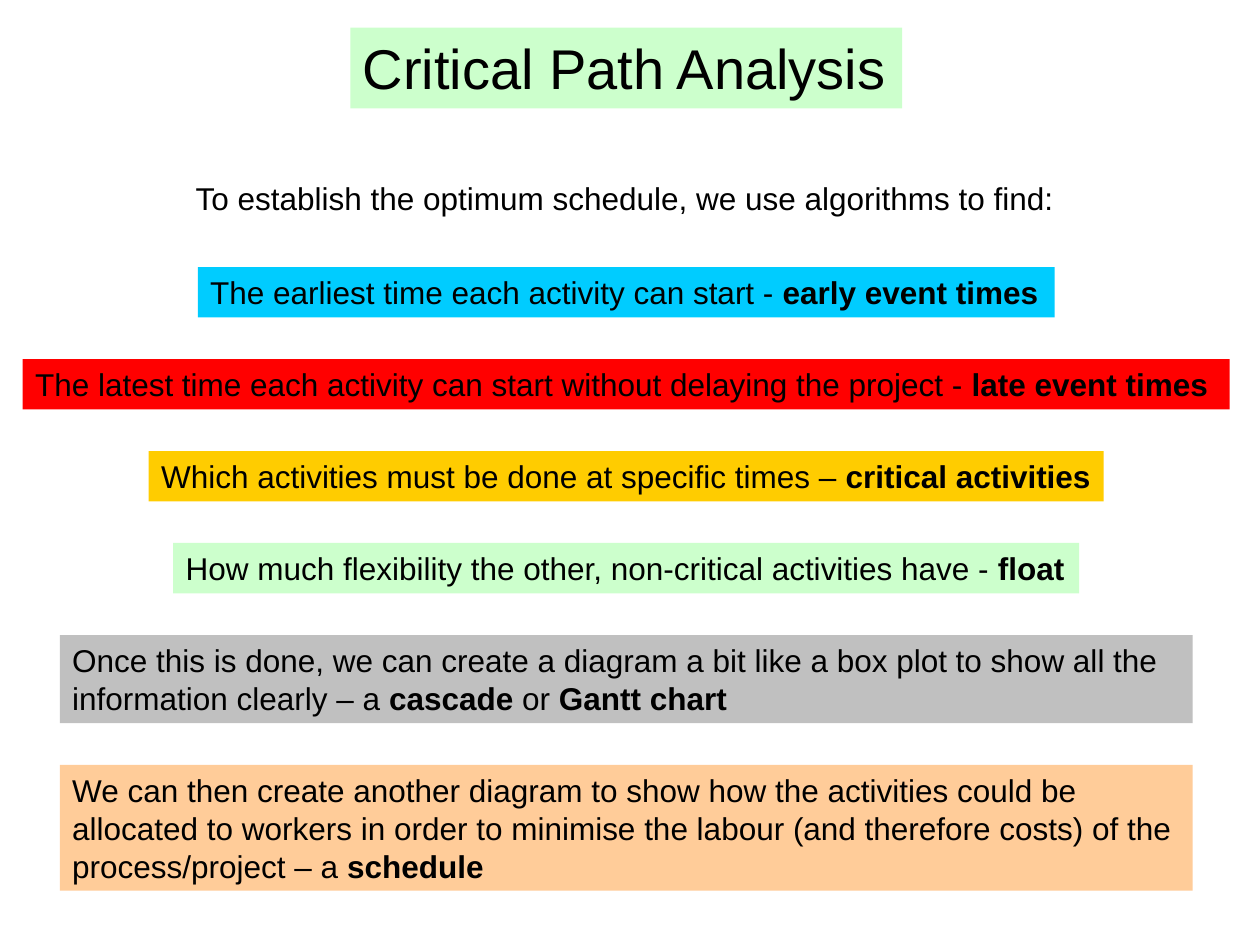
from pptx import Presentation
from pptx.dml.color import RGBColor
from pptx.enum.shapes import MSO_SHAPE
from pptx.enum.text import MSO_ANCHOR, MSO_AUTO_SIZE, PP_ALIGN
from pptx.util import Inches, Pt

CENTRE = 4.97  # shared vertical axis of all boxes
FIRST_TOP = 2.12
GAP = 0.33

# width, height, fill, wrap, text with **bold** key terms
STEPS = [
    (6.8, 0.4, "00CCFF", True,
     "The earliest time each activity can start - **early event times**"),
    (9.58, 0.4, "FF0000", True,
     "The latest time each activity can start without delaying the project -"
     "** late event times**"),
    (7.58, 0.4, "FFCC00", False,
     "Which activities must be done at specific times – **critical activities**"),
    (7.19, 0.4, "CCFFCC", False,
     "How much flexibility the other, non-critical activities have - **float**"),
    (8.99, 0.7, "C0C0C0", True,
     "Once this is done, we can create a diagram a bit like a box plot to show "
     "all the information clearly – a **cascade** or **Gantt chart**"),
    (8.99, 1, "FFCC99", True,
     "We can then create another diagram to show how the activities could be "
     "allocated to workers in order to minimise the labour (and therefore costs) "
     "of the process/project – a **schedule**"),
]


def colour(value):
    return RGBColor.from_string(value)


def write_text(shape, text, size, wrap):
    text_frame = shape.text_frame
    text_frame.word_wrap = wrap
    text_frame.auto_size = MSO_AUTO_SIZE.SHAPE_TO_FIT_TEXT
    text_frame.vertical_anchor = MSO_ANCHOR.TOP
    paragraph = text_frame.paragraphs[0]
    paragraph.alignment = PP_ALIGN.LEFT
    # Every second part lies between bold marks
    for index, part in enumerate(text.split("**")):
        if part:
            run = paragraph.add_run()
            run.text = part
            run.font.name = "Arial"
            run.font.size = Pt(size)
            run.font.bold = index % 2 == 1
            run.font.color.rgb = colour("000000")


def centred_frame(top, width, height):
    return [Inches(value) for value in (CENTRE - width / 2, top, width, height)]


def add_label(slide, top, width, height, text, size=18):
    shape = slide.shapes.add_textbox(*centred_frame(top, width, height))
    write_text(shape, text, size, wrap=False)


def add_box(slide, top, width, height, fill, text, size=18, wrap=True):
    shape = slide.shapes.add_shape(
        MSO_SHAPE.RECTANGLE, *centred_frame(top, width, height))
    shape.shadow.inherit = False
    shape.fill.solid()
    shape.fill.fore_color.rgb = colour(fill)
    shape.line.fill.background()
    write_text(shape, text, size, wrap)


def main():
    presentation = Presentation()
    presentation.slide_width = Inches(10)
    presentation.slide_height = Inches(7.5)
    slide = presentation.slides.add_slide(presentation.slide_layouts[6])

    # Title and introduction
    add_box(slide, 0.22, 4.38, 0.64, "CCFFCC", "Critical Path Analysis",
            size=32, wrap=False)
    add_label(slide, 1.37, 7.03, 0.4,
              "To establish the optimum schedule, we use algorithms to find:")

    # Steps stacked with equal gaps
    top = FIRST_TOP
    for width, height, fill, wrap, text in STEPS:
        add_box(slide, top, width, height, fill, text, wrap=wrap)
        top += height + GAP

    presentation.save("out.pptx")


if __name__ == "__main__":
    main()
